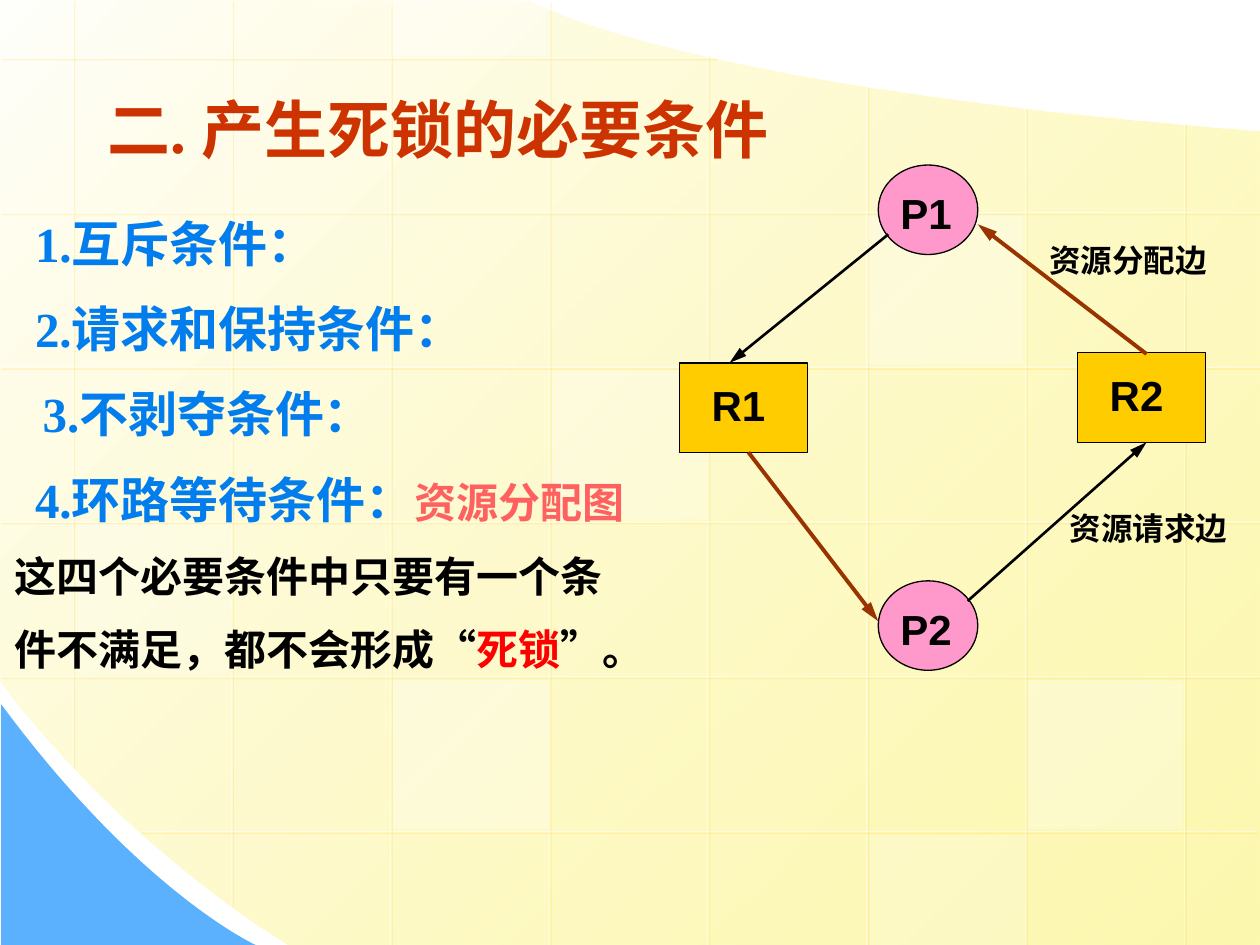
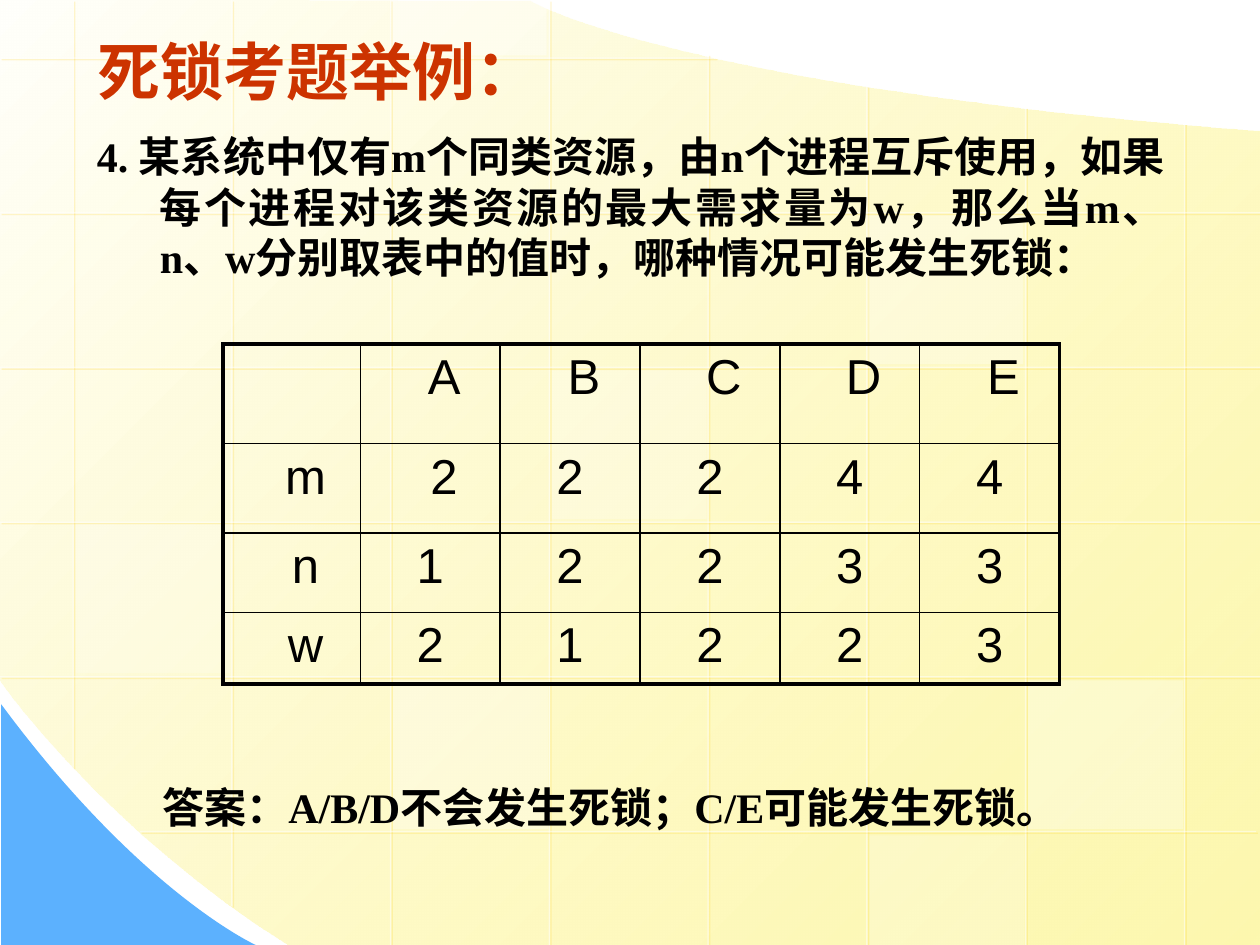
"""Build two slides on deadlock: its four conditions and a worked exam question."""
from lxml import etree
from pptx import Presentation
from pptx import util as u
from pptx.dml.color import RGBColor
from pptx.enum import lang, shapes, text
from pptx.oxml.ns import qn

SCALE = 9144
SERIF, SANS = "Times New Roman", "Arial"
HUE = {
    "black": "000000", "white": "FFFFFF", "cream": "FFFFFB", "yellow": "FDF58D",
    "sky": "5CB1FE", "gold": "FFCC00", "title": "CC3300", "blue": "017DED",
    "coral": "FF6161", "red": "FF0000", "pink": "FF99CC", "brown": "993300",
}

PAGE = [[(1000, 104)], [(1000, 750)], [(230, 750)], [(86, 661), (-1, 539), (0, 539)],
        [(-1, -1)], [(421, 1)], [(421, 1), (537, 69), (1000, 104)]]
WAVE = [[(1, 559)], [(1, 750)], [(203, 750)], [(203, 750), (112, 709), (1, 559)]]
COLS = [(0, 609), (0, 719), (0, 750), (0, 752), (43, 752), (68, 752), (85, 752), (98, 752)]
ROWS = [(0, 568)] + [(0, 1001)] * 4 + [(111, 997)]
TILES = [
    ((438, 294, 123, 118), 25), ((816, 540, 123, 118), 30), ((60, 416, 123, 118), 20),
    ((690, 663, 123, 87), 20), ((311, 0, 123, 44), 40), ((312, 540, 123, 118), 30),
    ((689, 171, 123, 118), 30),
]

HEADS = [("二. 产生死锁的必要条件", (75, 67, 716, 70)), ("死锁考题举例：", (67, 21, 646, 70))]
RULES = [
    (16, [("1.互斥条件：", 28, "blue", SERIF)]),
    (16, [("2.请求和保持条件：", 28, "blue", SERIF)]),
    (22, [("3.不剥夺条件：", 28, "blue", SERIF)]),
    (16, [("4.环路等待条件：", 28, "blue", SERIF), ("资源分配图", 24, "coral", SERIF)]),
    (0, [("这四个必要条件中只要有一个条", 24, "black", SANS)]),
    (0, [("件不满足，都不会形成“", 24, "black", SANS), ("死锁", 24, "red", SANS),
         ("”。", 24, "black", SANS)]),
]
NODES = [("P1", 697, 131), ("P2", 697, 461), ("R1", 539, 288), ("R2", 855, 280)]
KINDS = {
    "P": (shapes.MSO_SHAPE.OVAL, 79, "pink", (0, 5, 3, 0)),
    "R": (shapes.MSO_SHAPE.RECTANGLE, 102, "gold", (0, 0, 8, 4)),
}
EDGES = [
    ((705, 186), (579, 288), "black", 1.5), ((594, 359), (697, 493), "brown", 2.25),
    ((768, 477), (910, 351), "black", 1.5), ((910, 281), (776, 178), "brown", 2.25),
]
TAGS = [("资源请求边", 839, 399), ("资源分配边", 823, 186)]
TASK = ("4. 某系统中仅有m个同类资源，由n个进程互斥使用，如果每个进程对该类资源的最大需求量为w，"
        "那么当m、n、w分别取表中的值时，哪种情况可能发生死锁：")
REPLY = "答案：A/B/D不会发生死锁；C/E可能发生死锁。"
CASES = [["", "A", "B", "C", "D", "E"], ["m", "2", "2", "2", "4", "4"],
         ["n", "1", "2", "2", "3", "3"], ["w", "2", "1", "2", "2", "3"]]
WIDE, HIGH = [109] + [111] * 5, [79, 71, 63, 57]


def px(*nums):
    """Turn px lengths into EMU."""
    return [u.Emu(round(n * SCALE)) for n in nums]


def rgb(name):
    """Look up a colour."""
    return RGBColor.from_string(HUE[name])


def add(parent, tag, **attrs):
    """Append an XML child with attributes."""
    child = etree.SubElement(parent, qn(tag))
    for key, value in attrs.items():
        child.set(key, str(value))
    return child


def fade(parent, share):
    """Give every colour below parent an opacity in percent."""
    for tint in list(parent.iter(qn("a:srgbClr"))):
        add(tint, "a:alpha", val=share * 1000)


def style(run, size, hue, face=SERIF, bold=True):
    """Format one run."""
    font = run.font
    font.size, font.name, font.bold = u.Pt(size), face, bold
    font.color.rgb = rgb(hue)
    font.language_id = lang.MSO_LANGUAGE_ID.SIMPLIFIED_CHINESE


def paint(shape, hue, edge=None):
    """Set a plain fill and an optional thin outline."""
    shape.shadow.inherit = False
    shape.fill.solid()
    shape.fill.fore_color.rgb = rgb(hue)
    if edge:
        shape.line.color.rgb = rgb(edge)
        shape.line.width = u.Pt(0.75)
    else:
        shape.line.fill.background()


def link(slide, start, end, hue, width):
    """Draw a straight line and return it with its empty effect list."""
    line = slide.shapes.add_connector(shapes.MSO_CONNECTOR.STRAIGHT, *px(*start, *end))
    line.line.color.rgb = rgb(hue)
    line.line.width = u.Pt(width)
    return line, add(line.element.spPr, "a:effectLst")


def trace(slide, outline, hue):
    """Draw a closed outline; steps of three points become cubic curves."""
    dots = [px(*dot) for step in outline for dot in step]
    build = slide.shapes.build_freeform(*dots[0], scale=1.0)
    build.add_line_segments(dots[1:], close=True)
    shape = build.convert_to_shape()
    lines = shape.element.iter(qn("a:lnTo"))
    for step, group in [(step, [next(lines) for _ in step]) for step in outline[1:]]:
        if len(step) == 3:
            curve = etree.Element(qn("a:cubicBezTo"))
            group[0].addprevious(curve)
            for line in group:
                curve.append(line[0])
                line.getparent().remove(line)
    paint(shape, hue)
    return shape


def grid(slide, start, end):
    """Draw one pale grid line with a golden shadow."""
    line, effects = link(slide, start, end, "white", 0.75)
    fade(line.element.spPr, 50)
    shade = add(effects, "a:outerShdw", blurRad=0, dist=17961, dir=2700000, algn="ctr")
    add(shade, "a:srgbClr", val=HUE["gold"])
    fade(shade, 34)


def backdrop(slide, layout):
    """Draw the shared backdrop and move it to the layout."""
    old = len(slide.shapes)
    page = trace(slide, PAGE, "cream")
    page.fill.gradient()
    page.fill.gradient_angle = 315
    for stop, hue in zip(page.fill.gradient_stops, ("cream", "yellow")):
        stop.color.rgb = rgb(hue)
    fade(list(page.element.iter(qn("a:gs")))[-1], 70)
    trace(slide, WAVE, "sky")
    for i, (top, end) in enumerate(COLS):
        x = 58 + 126 * i
        grid(slide, (x, top), (x, end))
    for i, (left, end) in enumerate(ROWS):
        y = 46 + 122.8 * i
        grid(slide, (end, y), (left, y))
    for spot, share in TILES:
        tile = slide.shapes.add_shape(shapes.MSO_SHAPE.RECTANGLE, *px(*spot))
        paint(tile, "white")
        fade(tile.element.spPr, share)
    for hold in list(layout.placeholders):
        if hold.placeholder_format.idx:
            layout.shapes.element.remove(hold.element)
    for shape in list(slide.shapes)[old:]:
        layout.shapes.element.append(shape.element)


def head(slide, words, spot):
    """Place and format the title."""
    title = slide.shapes.title
    title.left, title.top, title.width, title.height = px(*spot)
    frame = title.text_frame
    frame.text = words
    frame.auto_size = text.MSO_AUTO_SIZE.NONE
    frame.vertical_anchor = text.MSO_ANCHOR.MIDDLE
    frame.paragraphs[0].alignment = text.PP_ALIGN.LEFT
    style(frame.paragraphs[0].runs[0], 36, "title")


def box(slide, spot, words="", size=24, face=SERIF, anchor=text.MSO_ANCHOR.MIDDLE):
    """Add a wrapping text box and return its frame."""
    frame = slide.shapes.add_textbox(*px(*spot)).text_frame
    frame.word_wrap = True
    frame.vertical_anchor = anchor
    if words:
        frame.text = words
        style(frame.paragraphs[0].runs[0], size, "black", face)
    return frame


def rules(slide):
    """Write the four conditions and the closing remark."""
    frame = box(slide, (2, 155, 530, 466), anchor=text.MSO_ANCHOR.TOP)
    for i, (_, runs) in enumerate(RULES):
        para = frame.add_paragraph() if i else frame.paragraphs[0]
        para.line_spacing = 1.2
        if i:
            para.space_before = u.Pt(runs[0][1] * 0.3)
        for words, *look in runs:
            run = para.add_run()
            run.text = words
            style(run, *look)
    for props, (inset, _) in zip(slide.shapes[-1].element.iter(qn("a:pPr")), RULES):
        props.set("marL", str(inset * SCALE))


def graph(slide):
    """Draw the resource allocation graph."""
    for name, left, top in NODES:
        kind, width, hue, edges = KINDS[name[0]]
        node = slide.shapes.add_shape(kind, *px(left, top, width, 71))
        paint(node, hue, "black")
        frame = node.text_frame
        frame.text = name
        frame.word_wrap = False
        frame.vertical_anchor = text.MSO_ANCHOR.MIDDLE
        (frame.margin_left, frame.margin_top,
         frame.margin_right, frame.margin_bottom) = px(*edges)
        frame.paragraphs[0].alignment = text.PP_ALIGN.CENTER
        style(frame.paragraphs[0].runs[0], 24, "black", SANS)
    for edge in EDGES:
        line, _ = link(slide, *edge)
        add(line.element.spPr.find(qn("a:ln")), "a:tailEnd",
            type="triangle", w="med", len="lg")
    for words, left, top in TAGS:
        box(slide, (left, top, 197, 40), words, 18, SANS)


def border(props, r, c):
    """Draw the four borders of a cell, heavy on the outside."""
    outer = {"L": c == 0, "R": c == len(WIDE) - 1, "T": r == 0, "B": r == len(HIGH) - 1}
    for i, (side, heavy) in enumerate(outer.items()):
        line = add(props, f"a:ln{side}", w=u.Pt(2.25 if heavy else 1))
        add(add(line, "a:solidFill"), "a:srgbClr", val=HUE["black"])
        props.insert(i, line)


def cases(slide):
    """Build the table of cases."""
    spot = px(177, 273, sum(WIDE), sum(HIGH))
    frame = slide.shapes.add_table(len(HIGH), len(WIDE), *spot)
    table = frame.table
    table.first_row = table.horz_banding = False
    for col, width in zip(table.columns, px(*WIDE)):
        col.width = width
    for row, height in zip(table.rows, px(*HIGH)):
        row.height = height
    for r, row in enumerate(CASES):
        for c, words in enumerate(row):
            cell = table.cell(r, c)
            cell.fill.background()
            shift = r == 0 or c == 0 or (r, c) == (1, 1)
            cell.margin_left, cell.margin_right = px(32 if shift else 10, 10)
            cell.text = words
            para = cell.text_frame.paragraphs[0]
            para.alignment = text.PP_ALIGN.CENTER
            for run in para.runs:
                style(run, 28, "black", SANS, False)
    for i, props in enumerate(list(frame.element.iter(qn("a:tcPr")))):
        border(props, *divmod(i, len(WIDE)))


def task(slide):
    """Write the exam question, its table and the answer."""
    frame = box(slide, (67, 99, 867, 170), TASK, anchor=text.MSO_ANCHOR.TOP)
    frame.paragraphs[0].alignment = text.PP_ALIGN.JUSTIFY
    for props in slide.shapes[-1].element.iter(qn("a:pPr")):
        props.set("marL", str(50 * SCALE))
        props.set("indent", str(-50 * SCALE))
    cases(slide)
    box(slide, (119, 615, 815, 50), REPLY)


def main():
    """Build and save the slides."""
    deck = Presentation()
    deck.slide_width, deck.slide_height = px(1000, 750)
    layout = deck.slide_layouts[5]
    first, second = [deck.slides.add_slide(layout) for _ in HEADS]
    backdrop(first, layout)
    for slide, (words, spot) in zip((first, second), HEADS):
        head(slide, words, spot)
    rules(first)
    graph(first)
    task(second)
    deck.save("out.pptx")


if __name__ == "__main__":
    main()
